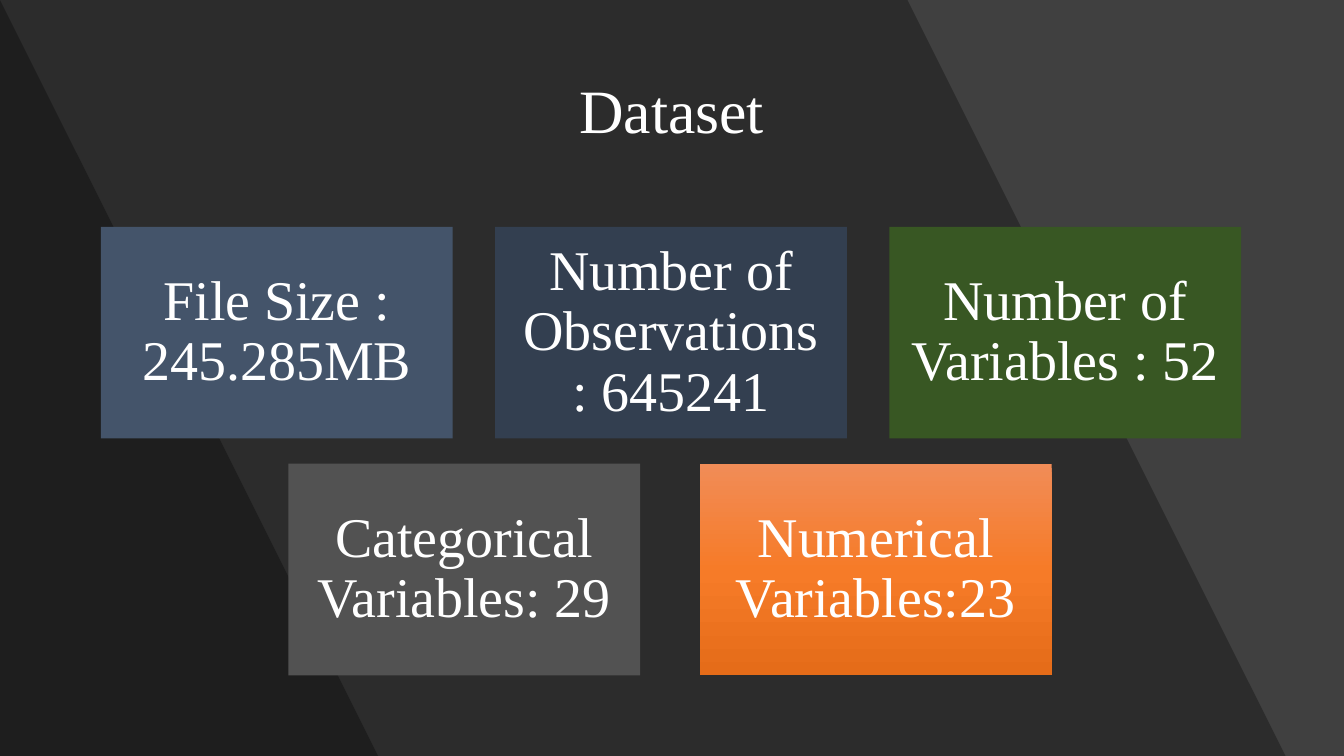
from copy import deepcopy
from dataclasses import dataclass

from lxml.etree import SubElement
from pptx import Presentation
from pptx.dml.color import RGBColor
from pptx.enum.shapes import MSO_SHAPE
from pptx.enum.text import MSO_ANCHOR, PP_ALIGN
from pptx.oxml.ns import qn
from pptx.shapes.autoshape import Shape
from pptx.slide import Slide
from pptx.text.text import TextFrame
from pptx.util import Inches, Pt

WIDE, HIGH = 13.33, 7.5
TILE_W, TILE_H = 3.49, 2.1
INSET = Inches(0.17)
FRAME = {
    "word_wrap": True,
    "vertical_anchor": MSO_ANCHOR.MIDDLE,
}
TILE_FRAME = FRAME | {
    "margin_left": INSET,
    "margin_right": INSET,
    "margin_top": INSET,
    "margin_bottom": INSET,
}
PARA = {"alignment": PP_ALIGN.CENTER, "line_spacing": 0.9}


@dataclass
class Band:
    top: float
    base: float


@dataclass
class Tile:
    text: str
    fills: tuple[str, ...]


@dataclass
class Row:
    left: float
    top: float
    step: float
    tiles: list[Tile]


BANDS = [Band(9.42, 12.89), Band(0.44, 3.92)]
ROWS = [
    Row(1, 2.25, 3.91, [
        Tile("File Size : 245.285MB", ("44546A",)),
        Tile("Number of Observations : 645241", ("333F50",)),
        Tile("Number of Variables : 52", ("385723",)),
    ]),
    Row(2.86, 4.6, 4.08, [
        Tile("Categorical Variables: 29", ("525252",)),
        Tile("Numerical Variables:23", ("F18C57", "F67B28", "E56C19")),
    ]),
]


def color(code: str) -> RGBColor:
    """Turn a hex string into a colour."""
    return RGBColor.from_string(code)


def apply(item: object, values: dict) -> None:
    """Set each named format value on an item."""
    for name, value in values.items():
        setattr(item, name, value)


def write(frame: TextFrame, text: str, size: int, form: dict) -> None:
    """Write one centred white paragraph."""
    frame.text = text
    para = frame.paragraphs[0]
    apply(frame, form)
    apply(para, PARA)
    font = para.runs[0].font
    apply(font, {"name": "Times New Roman", "size": Pt(size)})
    font.color.rgb = color("FFFFFF")


def paint(shape: Shape, fills: tuple[str, ...]) -> None:
    """Fill a shape with one colour or an even downward gradient."""
    shape.shadow.inherit = False
    shape.line.fill.background()
    if len(fills) == 1:
        shape.fill.solid()
        shape.fill.fore_color.rgb = color(fills[0])
        return
    shape.fill.gradient()
    shape.fill.gradient_angle = 270
    stops = shape.element.spPr.find(".//" + qn("a:gsLst"))
    for _ in fills[2:]:
        stops.append(deepcopy(stops[0]))
    for i, (stop, code) in enumerate(zip(shape.fill.gradient_stops, fills)):
        stop.position = i / (len(fills) - 1)
        stop.color.rgb = color(code)


def add_band(slide: Slide, band: Band) -> None:
    """Draw a slanted translucent black band from the left edge."""
    pen = slide.shapes.build_freeform(0, 0, scale=Inches(1))
    pen.add_line_segments([(band.top, 0), (band.base, HIGH), (0, HIGH)])
    shape = pen.convert_to_shape()
    paint(shape, ("000000",))
    tint = shape.element.spPr.find(qn("a:solidFill"))[0]
    SubElement(tint, qn("a:alpha"), val="30000")


def add_title(slide: Slide, text: str) -> None:
    """Place the title above the bands."""
    title = slide.shapes.title
    apply(title, {
        "left": Inches(0.91),
        "top": Inches(0.4),
        "width": Inches(11.51),
        "height": Inches(1.45),
    })
    write(title.text_frame, text, 44, FRAME)
    title.element.getparent().append(title.element)


def add_row(slide: Slide, row: Row) -> None:
    """Draw a row of evenly spaced tiles."""
    for i, tile in enumerate(row.tiles):
        shape = slide.shapes.add_shape(
            MSO_SHAPE.RECTANGLE, Inches(row.left + i * row.step),
            Inches(row.top), Inches(TILE_W), Inches(TILE_H))
        paint(shape, tile.fills)
        write(shape.text_frame, tile.text, 40, TILE_FRAME)


def main() -> None:
    """Build and save the slide."""
    deck = Presentation()
    apply(deck, {"slide_width": Inches(WIDE), "slide_height": Inches(HIGH)})
    slide = deck.slides.add_slide(deck.slide_layouts[5])
    back = slide.background.fill
    back.solid()
    back.fore_color.rgb = color("404040")
    for band in BANDS:
        add_band(slide, band)
    add_title(slide, "Dataset")
    for row in ROWS:
        add_row(slide, row)
    deck.save("out.pptx")


if __name__ == "__main__":
    main()
